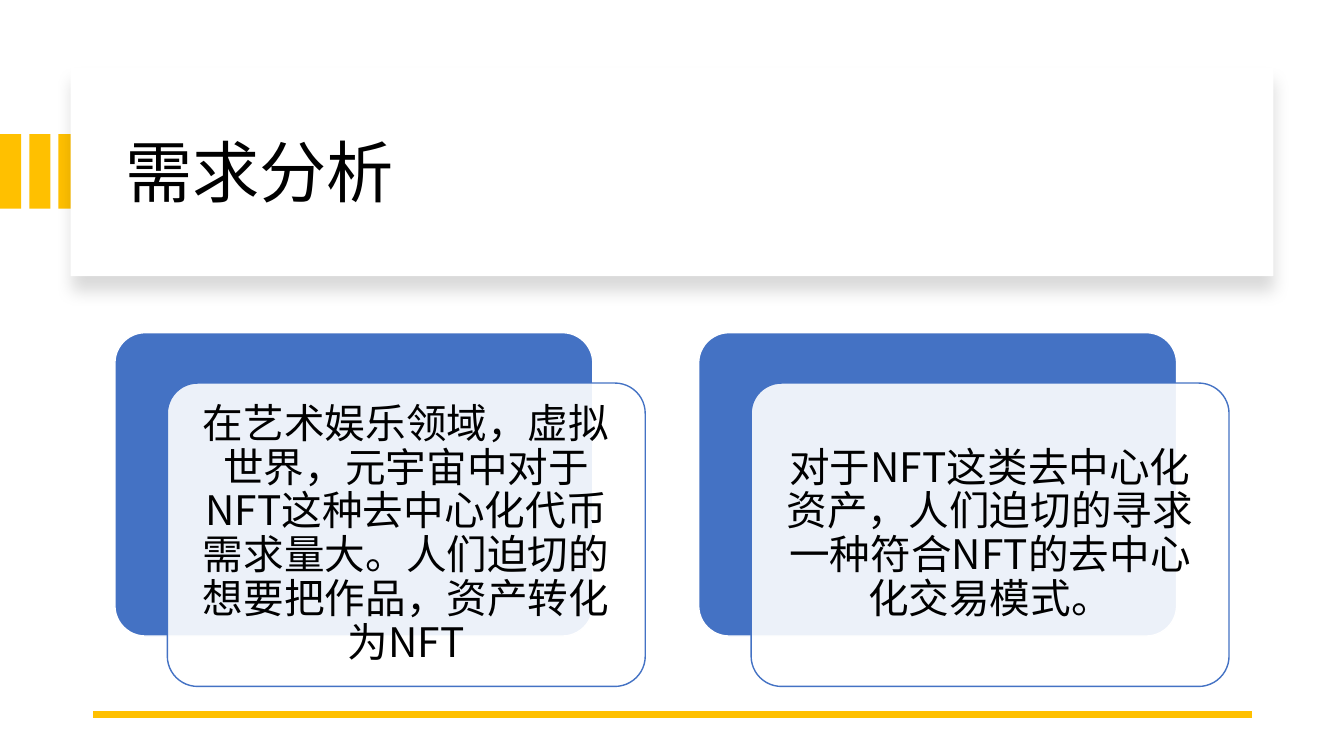
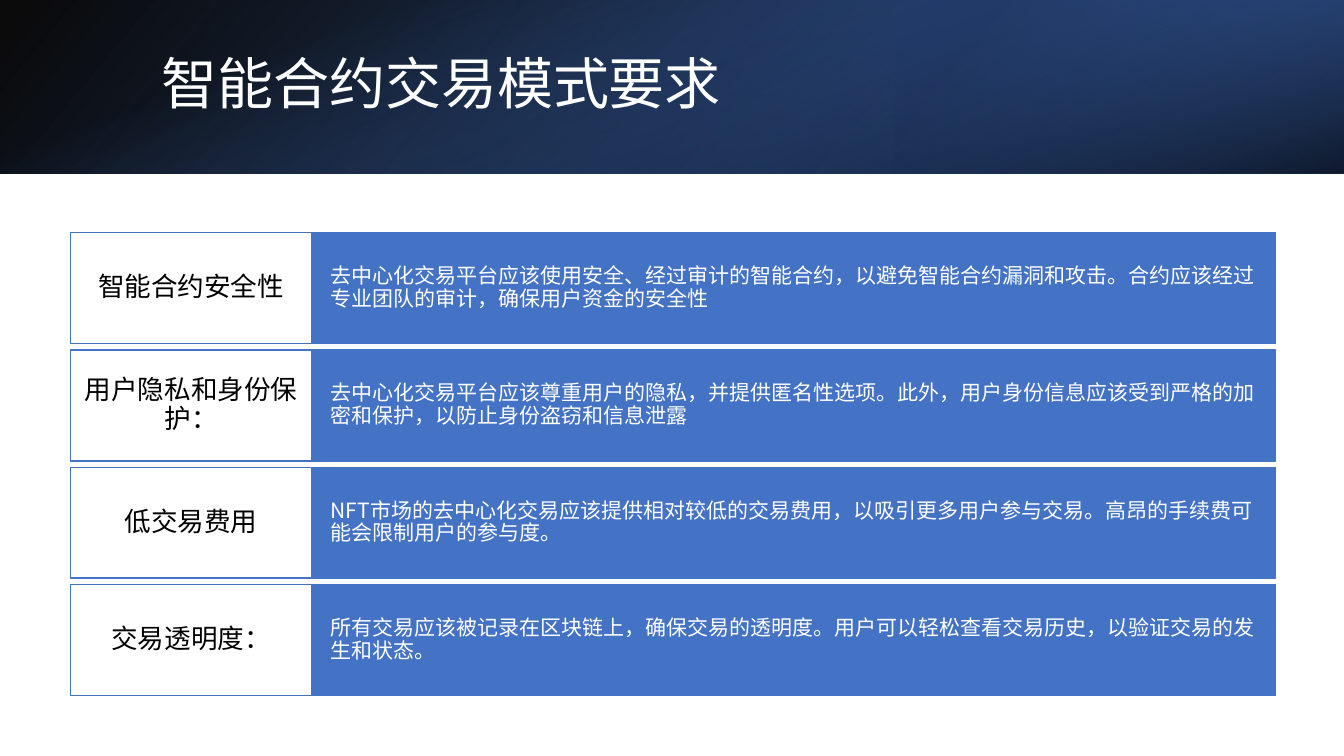
from lxml.etree import SubElement
from pptx import Presentation
from pptx.dml.color import RGBColor
from pptx.enum.shapes import MSO_CONNECTOR, MSO_SHAPE
from pptx.enum.text import MSO_ANCHOR, MSO_AUTO_SIZE, PP_ALIGN
from pptx.oxml.ns import qn
from pptx.util import Inches, Pt

FONT = "Noto Sans CJK SC"
BLACK, WHITE = "000000", "FFFFFF"
BLUE, GOLD, NAVY, STEEL = "4472C4", "FFC000", "203864", "2F5597"
SLIDE_WIDTH, SLIDE_HEIGHT = 13.33, 7.5
BAND_HEIGHT = 1.72

NEEDS = [
    "在艺术娱乐领域，虚拟世界，元宇宙中对于NFT这种去中心化代币需求量大。人们迫切的想要把作品，资产转化为NFT",
    "对于NFT这类去中心化资产，人们迫切的寻求一种符合NFT的去中心化交易模式。",
]
REQUIREMENTS = [
    ("智能合约安全性",
     "去中心化交易平台应该使用安全、经过审计的智能合约，以避免智能合约漏洞和攻击。合约应该经过专业团队的审计，确保用户资金的安全性"),
    ("用户隐私和身份保护：",
     "去中心化交易平台应该尊重用户的隐私，并提供匿名性选项。此外，用户身份信息应该受到严格的加密和保护，以防止身份盗窃和信息泄露"),
    ("低交易费用",
     "NFT市场的去中心化交易应该提供相对较低的交易费用，以吸引更多用户参与交易。高昂的手续费可能会限制用户的参与度。"),
    ("交易透明度：",
     "所有交易应该被记录在区块链上，确保交易的透明度。用户可以轻松查看交易历史，以验证交易的发生和状态。"),
]


def color(hex_code):
    """Turn a hex string into a colour."""
    return RGBColor.from_string(hex_code)


def add_element(parent, tag, **attributes):
    """Append a DrawingML element with the given attributes."""
    element = SubElement(parent, qn(tag))
    for name, value in attributes.items():
        element.set(name, str(value))
    return element


def add_color(parent, hex_code, opacity):
    """Append a colour with an opacity in percent."""
    shade = add_element(parent, "a:srgbClr", val=hex_code)
    add_element(shade, "a:alpha", val=opacity * 1000)


def add_box(page, left, top, width, height, fill, line=None, kind=MSO_SHAPE.RECTANGLE):
    """Add a flat shape with a solid fill and an optional outline."""
    box = page.shapes.add_shape(
        kind, Inches(left), Inches(top), Inches(width), Inches(height))
    box.shadow.inherit = False
    box.fill.solid()
    box.fill.fore_color.rgb = color(fill)
    if line:
        box.line.color.rgb = color(line)
        box.line.width = Pt(1)
    else:
        box.line.fill.background()
    return box


def write(shape, text, size, ink, align=PP_ALIGN.LEFT, insets=(0.1, 0.05)):
    """Write one vertically centred paragraph into a shape."""
    frame = shape.text_frame
    frame.word_wrap = True
    frame.auto_size = MSO_AUTO_SIZE.NONE
    frame.vertical_anchor = MSO_ANCHOR.MIDDLE
    frame.margin_left = frame.margin_right = Inches(insets[0])
    frame.margin_top = frame.margin_bottom = Inches(insets[1])
    para = frame.paragraphs[0]
    para.text = text
    para.alignment = align
    para.line_spacing = 0.9
    para.font.size = Pt(size)
    para.font.color.rgb = color(ink)
    para.font.name = FONT
    defaults = para._p.get_or_add_pPr().find(qn("a:defRPr"))
    add_element(defaults, "a:ea", typeface=FONT)


def place_title(page, text, left, top, width, height, size, ink):
    """Place the title placeholder in front of what is already drawn."""
    title = page.shapes.title
    title.left, title.top = Inches(left), Inches(top)
    title.width, title.height = Inches(width), Inches(height)
    write(title, text, size, ink)
    page.shapes._spTree.append(title._element)


def add_soft_shadow(shape):
    """Give a shape a soft shadow that falls downwards."""
    effects = shape._element.spPr.find(qn("a:effectLst"))
    shadow = add_element(effects, "a:outerShdw", blurRad=Pt(11), dist=Pt(10),
                         dir=90 * 60000, algn="t", rotWithShape=0)
    add_color(shadow, BLACK, 15)


def add_gradient_box(page, left, top, width, height, stops, angle, rotation=0, flip=False):
    """Add a box with a gradient of (position, colour, opacity) stops."""
    box = add_box(page, left, top, width, height, BLUE)
    box.rotation = rotation
    properties = box._element.spPr
    if flip:
        properties.get_or_add_xfrm().set("flipH", "1")
    gradient = add_element(properties, "a:gradFill", rotWithShape=1)
    stop_list = add_element(gradient, "a:gsLst")
    for position, shade, opacity in stops:
        stop = add_element(stop_list, "a:gs", pos=position * 1000)
        add_color(stop, shade, opacity)
    add_element(gradient, "a:lin", ang=angle * 60000, scaled=0)
    properties.replace(properties.find(qn("a:solidFill")), gradient)


def add_rule(page, start, end, top):
    """Add the thick gold line."""
    rule = page.shapes.add_connector(
        MSO_CONNECTOR.STRAIGHT, Inches(start), Inches(top), Inches(end), Inches(top))
    rule.line.color.rgb = color(GOLD)
    rule.line.width = Pt(4.5)
    add_element(rule._element.spPr, "a:effectLst")


def add_need_card(page, left, text):
    """Add a translucent text card over a blue backing card."""
    top, width, height = 3.3, 4.74, 3.01
    rounded = MSO_SHAPE.ROUNDED_RECTANGLE
    backing = add_box(page, left, top, width, height, BLUE, WHITE, rounded)
    card = add_box(page, left + 0.52, top + 0.5, width, height, WHITE, BLUE, rounded)
    for shape in (backing, card):
        shape.adjustments[0] = 0.1
    shade = card._element.spPr.find(qn("a:solidFill")).find(qn("a:srgbClr"))
    add_element(shade, "a:alpha", val=90000)
    write(card, text, 29, BLACK, PP_ALIGN.CENTER, (0.12, 0.12))


def add_requirement_row(page, top, height, label, detail):
    """Add a white label cell with a blue detail cell to its right."""
    left, split, right = 0.7, 3.09, 12.65
    detail_box = add_box(page, split, top, right - split, height, BLUE, BLUE)
    write(detail_box, detail, 15, WHITE, insets=(0.19, 0.28))
    label_box = add_box(page, left, top, split - left, height, WHITE, BLUE)
    write(label_box, label, 19, BLACK, PP_ALIGN.CENTER, (0.13, 0.11))


def build_needs(page):
    """Build the slide on the needs."""
    stripe, gap = 0.21, 0.08
    for index in range(3):
        add_box(page, index * (stripe + gap), 1.33, stripe, 0.74, GOLD)
    panel = add_box(page, 0.7, 0.67, 11.93, 2.07, WHITE)
    add_soft_shadow(panel)
    place_title(page, "需求分析", 1.14, 0.89, 11.13, 1.7, 48, BLACK)
    add_rule(page, 12.42, 0.92, 7.09)
    for index, text in enumerate(NEEDS):
        add_need_card(page, 1.14 + index * 5.79, text)


def build_requirements(page):
    """Build the slide on the requirements."""
    third = SLIDE_WIDTH / 3
    offset = (SLIDE_WIDTH - BAND_HEIGHT) / 2
    add_gradient_box(page, 0, 0, SLIDE_WIDTH, BAND_HEIGHT,
                     [(0, BLACK, 96), (100, STEEL, 100)], 140, flip=True)
    add_gradient_box(page, 2 * third, 0, third, BAND_HEIGHT,
                     [(19, NAVY, 68), (100, BLUE, 79)], 320, rotation=180, flip=True)
    add_gradient_box(page, offset, -offset, BAND_HEIGHT, SLIDE_WIDTH,
                     [(23, BLUE, 0), (99, BLACK, 74)], 340, rotation=90)
    place_title(page, "智能合约交易模式要求", 1.5, 0.38, 10.98, 0.96, 40, WHITE)
    first, last, height = 2.31, 5.8, 1.1
    pitch = (last - first) / (len(REQUIREMENTS) - 1)
    for index, (label, detail) in enumerate(REQUIREMENTS):
        add_requirement_row(page, first + index * pitch, height, label, detail)


def main():
    """Build and save the deck."""
    deck = Presentation()
    deck.slide_width, deck.slide_height = Inches(SLIDE_WIDTH), Inches(SLIDE_HEIGHT)
    title_only = deck.slide_layouts[5]
    for build in (build_needs, build_requirements):
        build(deck.slides.add_slide(title_only))
    deck.save("out.pptx")


if __name__ == "__main__":
    main()
